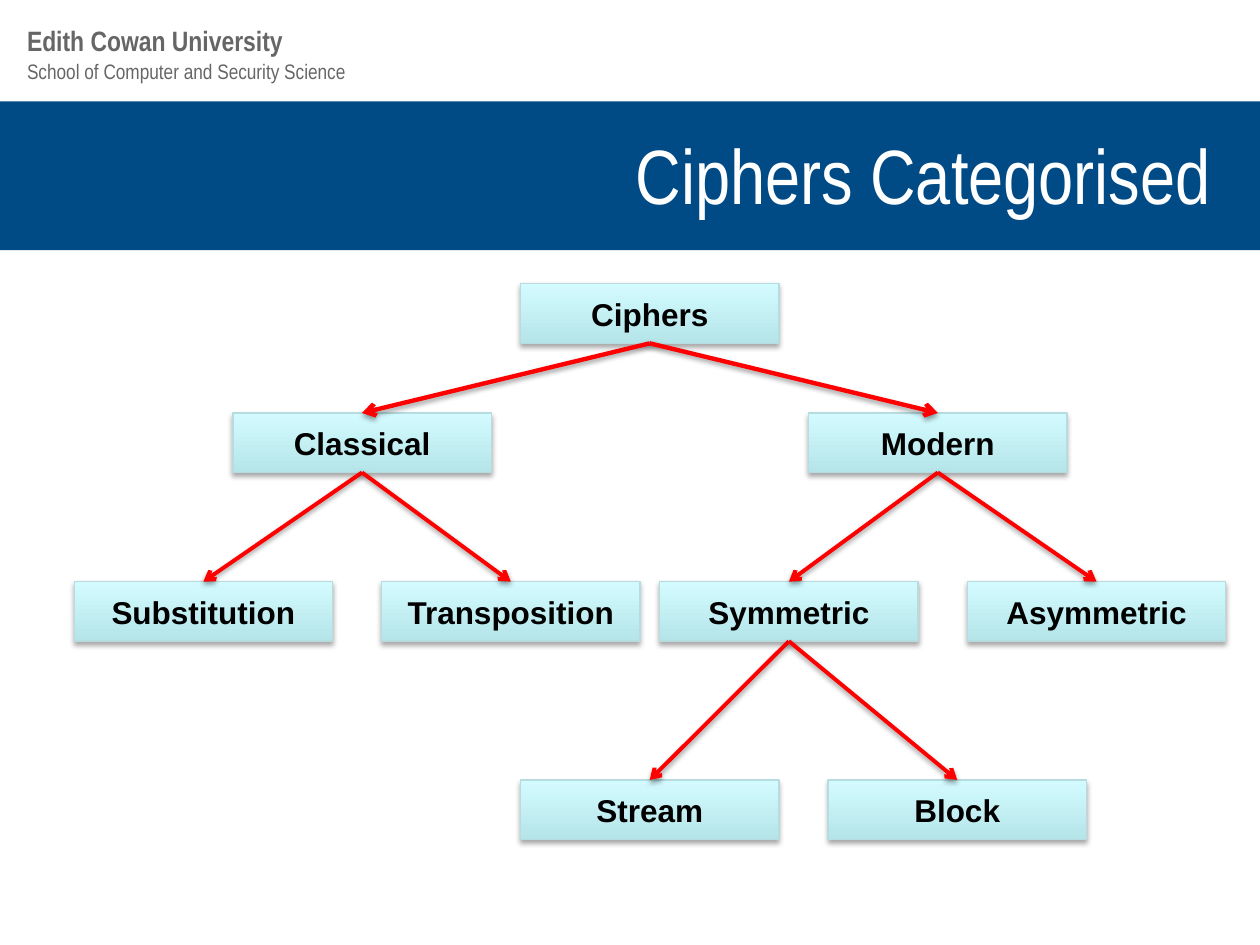
from lxml import etree
from pptx import Presentation, util as u
from pptx.dml.color import RGBColor
from pptx.enum import shapes, text
from pptx.oxml.ns import qn

Pt = u.Pt
WHITE = RGBColor(0xFF, 0xFF, 0xFF)
BLACK = RGBColor(0, 0, 0)
GREY = RGBColor(0x66, 0x66, 0x66)
NAVY = RGBColor(0x00, 0x4B, 0x85)
RED = RGBColor(0xFF, 0, 0)
AQUA_DARK = RGBColor(0xB5, 0xE5, 0xE9)
AQUA_LIGHT = RGBColor(0xD3, 0xFB, 0xFF)
AQUA_EDGE = RGBColor(0xB6, 0xDC, 0xDF)

NODE_WIDTH, NODE_HEIGHT = 147.6, 34
LEVEL_TOPS = [162.2, 236, 332.4, 445.7]
# name: (level, horizontal centre, parent)
NODES = {
    "Ciphers": (0, 371.3, None),
    "Classical": (1, 206.9, "Ciphers"),
    "Modern": (1, 535.9, "Ciphers"),
    "Substitution": (2, 116.2, "Classical"),
    "Transposition": (2, 291.9, "Classical"),
    "Symmetric": (2, 450.8, "Modern"),
    "Asymmetric": (2, 626.6, "Modern"),
    "Stream": (3, 371.3, "Symmetric"),
    "Block": (3, 547, "Symmetric"),
}


class TreePage:
    """Holds the style and the slide being drawn."""

    label_font = "Arial"
    heading_font = "Arial Narrow"

    def __init__(self, page):
        self.shapes = page.shapes

    def add_shadow(self, shape, distance, opacity):
        """Add a soft shadow straight below; call after the line is set."""
        effects = etree.SubElement(shape._element.spPr, qn("a:effectLst"))
        outer = etree.SubElement(
            effects, qn("a:outerShdw"), blurRad=str(Pt(3.1)), dist=str(Pt(distance)),
            dir="5400000", rotWithShape="0")
        color = etree.SubElement(outer, qn("a:srgbClr"), val=str(BLACK))
        etree.SubElement(color, qn("a:alpha"), val=str(opacity * 1000))

    def set_words(self, shape, words, font, size, color, bold, align):
        frame = shape.text_frame
        frame.text = words
        frame.word_wrap = True
        frame.vertical_anchor = text.MSO_ANCHOR.MIDDLE
        para = frame.paragraphs[0]
        para.alignment = align
        span = para.runs[0].font
        span.name, span.size, span.bold = font, Pt(size), bold
        span.color.rgb = color

    def rectangle(self, left, top, width, height):
        return self.shapes.add_shape(
            shapes.MSO_SHAPE.RECTANGLE, Pt(left), Pt(top), Pt(width), Pt(height))

    def band(self, top, width, height):
        band = self.rectangle(0, top, width, height)
        band.shadow.inherit = False
        band.fill.solid()
        band.fill.fore_color.rgb = NAVY
        band.line.fill.background()

    def heading(self, words, left, top, width, height, size, color,
                bold=False, align=text.PP_ALIGN.LEFT):
        box = self.shapes.add_textbox(Pt(left), Pt(top), Pt(width), Pt(height))
        self.set_words(box, words, self.heading_font, size, color, bold, align)

    def node(self, name, level, centre):
        box = self.rectangle(centre - NODE_WIDTH / 2, LEVEL_TOPS[level],
                             NODE_WIDTH, NODE_HEIGHT)
        box.fill.gradient()
        box.fill.gradient_angle = 90
        for stop, color in zip(box.fill.gradient_stops, (AQUA_DARK, AQUA_LIGHT)):
            stop.color.rgb = color
        box.line.color.rgb = AQUA_EDGE
        box.line.width = Pt(0.75)
        self.add_shadow(box, 1.8, 35)
        self.set_words(box, name, self.label_font, 18, BLACK, True,
                       text.PP_ALIGN.CENTER)
        return box

    def arrow(self, parent, child, width):
        arrow = self.shapes.add_connector(shapes.MSO_CONNECTOR.STRAIGHT, 0, 0, 0, 0)
        arrow.begin_connect(parent, 2)
        arrow.end_connect(child, 0)
        arrow.line.color.rgb = RED
        arrow.line.width = Pt(width)
        line = arrow._element.spPr.find(qn("a:ln"))
        etree.SubElement(line, qn("a:tailEnd"), type="arrow")
        self.add_shadow(arrow, 1.6, 38)


def main():
    deck = Presentation()
    deck.slide_width, deck.slide_height = Pt(720), Pt(540)
    page = TreePage(deck.slides.add_slide(deck.slide_layouts[6]))

    page.band(58, 720, 85)
    page.heading("School of Computer and Security Science", 8.4, 30, 424, 21.6, 12, GREY)
    page.heading("Edith Cowan University", 8.4, 9.6, 424, 26.6, 16, GREY, bold=True)
    page.heading("Ciphers Categorised", 19.4, 60, 680, 78.5, 44, WHITE,
                 align=text.PP_ALIGN.RIGHT)

    boxes = {name: page.node(name, level, centre)
             for name, (level, centre, _) in NODES.items()}
    for name, (level, _, parent) in NODES.items():
        if parent:
            page.arrow(boxes[parent], boxes[name], 2.5 if level == 1 else 2.25)

    deck.save("out.pptx")


if __name__ == "__main__":
    main()
